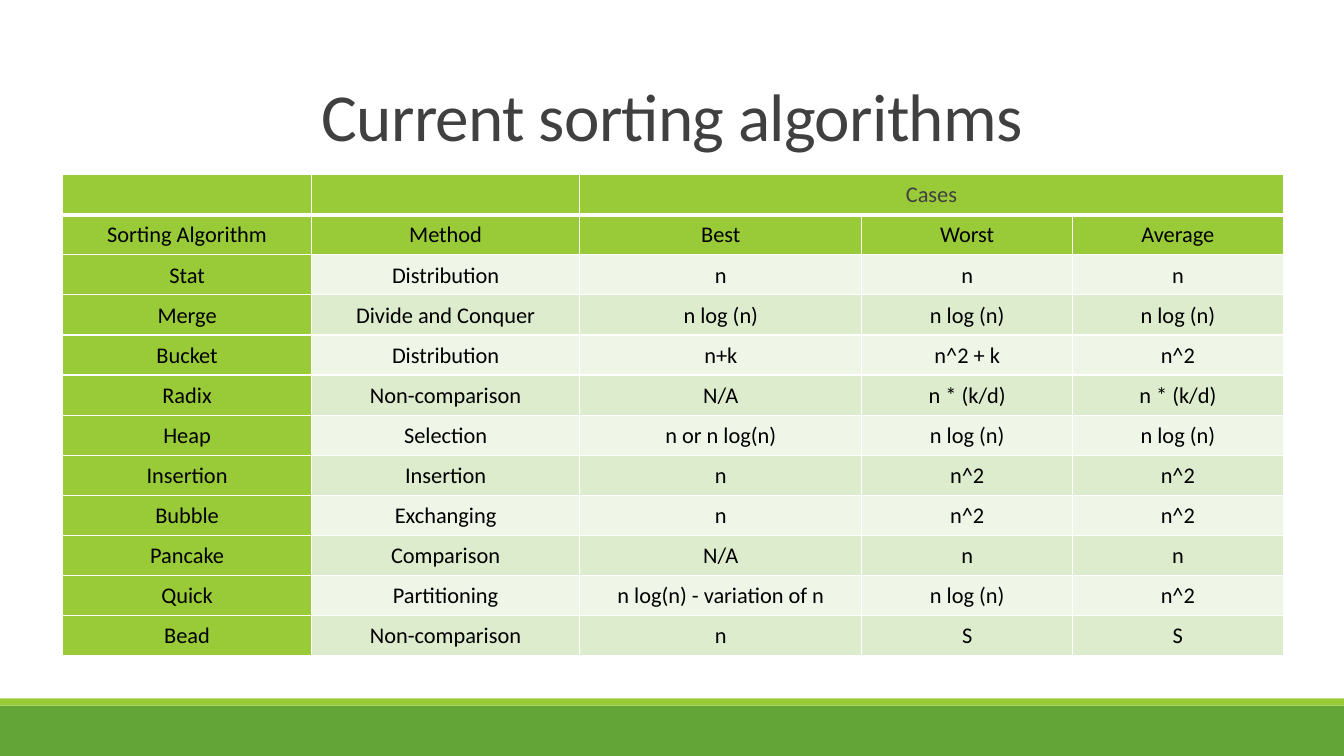
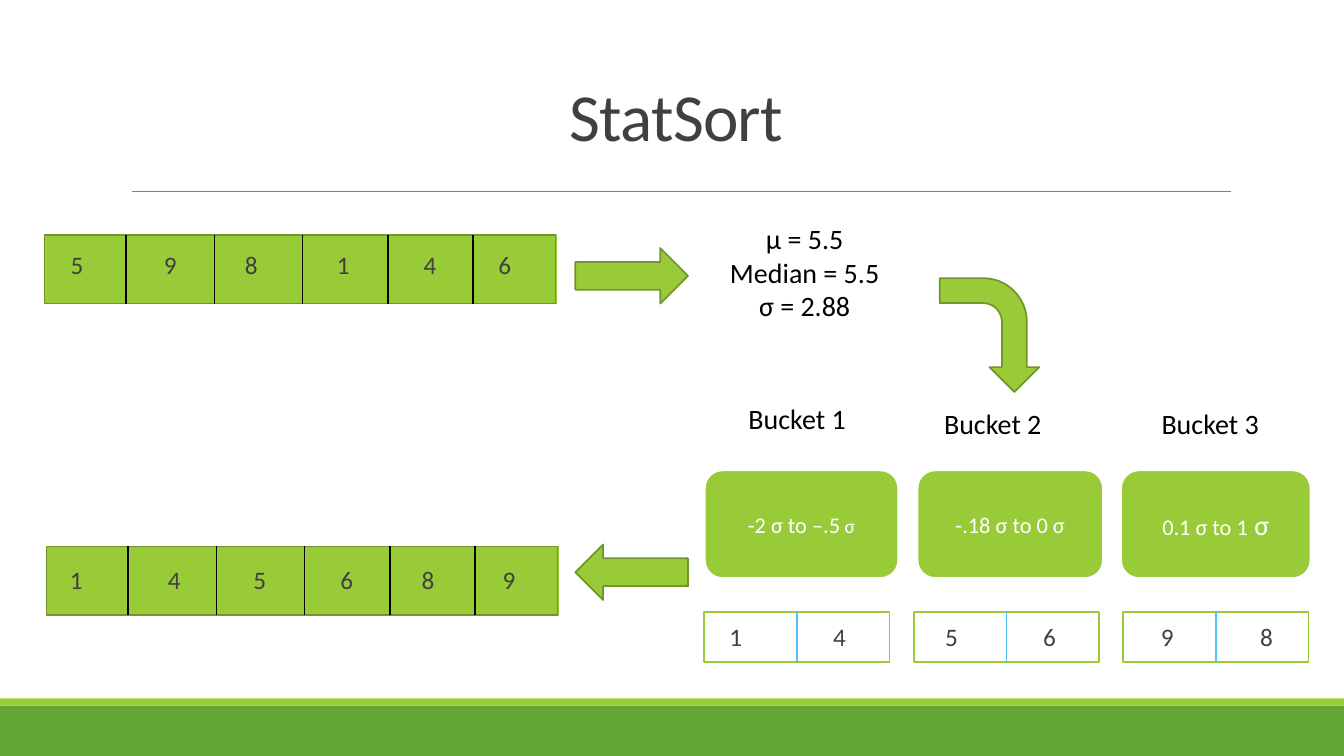
from lxml.etree import SubElement
from pptx import Presentation
from pptx.dml.color import RGBColor
from pptx.enum.shapes import MSO_CONNECTOR as Connector, MSO_SHAPE as Preset
from pptx.enum.text import MSO_ANCHOR as Anchor, MSO_AUTO_SIZE as AutoSize, PP_ALIGN as Align
from pptx.oxml.ns import qn
from pptx.util import Cm, Pt

FONT = "Calibri"
COLORS = {
    "white": "FFFFFF", "black": "000000", "text": "404040", "rule": "808080",
    "lime": "99CB38", "lime_edge": "719629", "green": "63A537", "sky": "51C3F9",
    "light": "EFF6E8", "tint": "DEECCE",
}
WIDTH, HEIGHT = 33.87, 19.05


def rgb(name):
    return RGBColor.from_string(COLORS[name])


class Slides:
    """Holds the shared style and the slide being built; lengths are in cm."""

    def __init__(self):
        self.deck = Presentation()
        self.deck.slide_width, self.deck.slide_height = Cm(WIDTH), Cm(HEIGHT)
        self.page = None

    def add_page(self, title, title_left, ruled=False):
        self.page = self.deck.slides.add_slide(self.deck.slide_layouts[5])
        # Bands at the foot, and the rule below the title
        self.shape(Preset.RECTANGLE, 0, 17.78, WIDTH, 1.27, "green")
        self.shape(Preset.RECTANGLE, 0, 17.6, WIDTH, 0.18, "lime")
        if ruled:
            self.line(3.33, 4.83, 31.01, 4.83, "rule", 0.5)
        # Title
        box = self.page.shapes.title
        box.left, box.top, box.width, box.height = Cm(title_left), Cm(0), Cm(27.94), Cm(4.03)
        frame = box.text_frame
        frame.auto_size, frame.word_wrap = AutoSize.NONE, True
        frame.vertical_anchor = Anchor.BOTTOM
        para = frame.paragraphs[0]
        para.alignment, para.line_spacing = Align.CENTER, 0.85
        span = self.span(para, title, 48, "text")
        span._r.get_or_add_rPr().set("spc", "-50")

    def span(self, para, text, size, color):
        span = para.add_run()
        span.text = text
        span.font.name, span.font.size = FONT, Pt(size)
        span.font.color.rgb = rgb(color)
        return span

    def shape(self, preset, left, top, width, height, fill, edge=None, weight=1.25):
        shape = self.page.shapes.add_shape(preset, Cm(left), Cm(top), Cm(width), Cm(height))
        shape.shadow.inherit = False
        shape.fill.solid()
        shape.fill.fore_color.rgb = rgb(fill)
        if edge:
            shape.line.color.rgb = rgb(edge)
            shape.line.width = Pt(weight)
        else:
            shape.line.fill.background()
        return shape

    def line(self, x1, y1, x2, y2, color, weight=1):
        line = self.page.shapes.add_connector(
            Connector.STRAIGHT, Cm(x1), Cm(y1), Cm(x2), Cm(y2))
        line.line.color.rgb = rgb(color)
        line.line.width = Pt(weight)
        SubElement(line._element.spPr, qn("a:effectLst"))

    def text(self, left, top, width, height, lines, size=20, color="black"):
        box = self.page.shapes.add_textbox(Cm(left), Cm(top), Cm(width), Cm(height))
        frame = box.text_frame
        frame.word_wrap = True
        for index, line in enumerate(lines):
            para = frame.add_paragraph() if index else frame.paragraphs[0]
            para.alignment = Align.CENTER
            self.span(para, line, size, color)

    def values(self, left, top, width, numbers, centers):
        """One line of numbers, each centred on its own tab stop."""
        box = self.page.shapes.add_textbox(Cm(left), Cm(top), Cm(width), Cm(1.02))
        frame = box.text_frame
        frame.word_wrap = True
        frame.margin_left = frame.margin_right = 0
        para = frame.paragraphs[0]
        para.alignment = Align.LEFT
        stops = SubElement(para._p.get_or_add_pPr(), qn("a:tabLst"))
        for number, center in zip(numbers, centers):
            SubElement(stops, qn("a:tab"), pos=str(Cm(center)), algn="ctr")
            self.span(para, f"\t{number}", 18, "text")

    def array(self, left, top, text_top, numbers, centers):
        """A strip of six cells that is open on the right."""
        self.shape(Preset.RECTANGLE, left, top, 12.9, 1.73, "lime", "lime_edge")
        for offset in (2.06, 4.29, 6.5, 8.66, 10.8, 12.9):
            color = "lime" if offset == 12.9 else "black"
            self.line(left + offset, top, left + offset, top + 1.73, color)
        self.values(left, text_top, 12.9, numbers, centers)

    def bucket(self, left, width, spans):
        box = self.shape(Preset.ROUNDED_RECTANGLE, left, 11.84, width, 2.74, "lime", "white", 2)
        frame = box.text_frame
        frame.word_wrap, frame.vertical_anchor = True, Anchor.MIDDLE
        para = frame.paragraphs[0]
        para.alignment = Align.CENTER
        for text, size in spans:
            self.span(para, text, size, "white")

    def pair(self, left, numbers, centers):
        top, width, height = 15.42, 4.67, 1.27
        self.shape(Preset.RECTANGLE, left, top, width, height, "white", "lime")
        middle = left + width / 2
        self.line(middle, top, middle, top + height, "sky")
        self.values(left, 15.53, width, numbers, centers)

    def cell(self, cell, text, fill, color, top=1, bottom=1):
        cell.margin_left = cell.margin_right = cell.margin_top = Cm(0.03)
        cell.margin_bottom = 0
        cell.vertical_anchor = Anchor.MIDDLE
        props = cell._tc.get_or_add_tcPr()
        for side, weight in (("L", 1), ("R", 1), ("T", top), ("B", bottom)):
            border = SubElement(props, qn(f"a:ln{side}"), w=str(Pt(weight)))
            solid = SubElement(border, qn("a:solidFill"))
            SubElement(solid, qn("a:srgbClr"), val=COLORS["white"])
        cell.fill.solid()
        cell.fill.fore_color.rgb = rgb(fill)
        para = cell.text_frame.paragraphs[0]
        para.alignment = Align.CENTER
        if text:
            self.span(para, text, 16, color)

    def table(self, left, top, widths, row_height, rows):
        table = self.page.shapes.add_table(
            len(rows), len(widths), Cm(left), Cm(top),
            Cm(sum(widths)), Cm(row_height * len(rows))).table
        table.first_row = table.horz_banding = False
        for column, width in zip(table.columns, widths):
            column.width = Cm(width)
        for r, row in enumerate(rows):
            table.rows[r].height = Cm(row_height)
            for c, text in enumerate(row):
                band = "tint" if r % 2 else "light"
                self.cell(table.cell(r, c), text,
                          fill="lime" if r < 2 or c == 0 else band,
                          color="black" if r else "text",
                          top=3 if r == 1 else 1, bottom=1 if r else 3)
        table.cell(0, 2).merge(table.cell(0, 4))


ALGORITHMS = [
    ("", "", "Cases", "", ""),
    ("Sorting Algorithm", "Method", "Best", "Worst", "Average"),
    ("Stat", "Distribution", "n", "n", "n"),
    ("Merge", "Divide and Conquer", "n log (n)", "n log (n)", "n log (n)"),
    ("Bucket", "Distribution", "n+k", "n^2 + k", "n^2"),
    ("Radix", "Non-comparison", "N/A", "n * (k/d)", "n * (k/d)"),
    ("Heap", "Selection", "n or n log(n)", "n log (n)", "n log (n)"),
    ("Insertion", "Insertion", "n", "n^2", "n^2"),
    ("Bubble", "Exchanging", "n", "n^2", "n^2"),
    ("Pancake", "Comparison", "N/A", "n", "n"),
    ("Quick", "Partitioning", "n log(n) - variation of n", "n log (n)", "n^2"),
    ("Bead", "Non-comparison", "n", "S", "S"),
]


def main():
    slides = Slides()

    # Comparison table
    slides.add_page("Current sorting algorithms", 2.97)
    slides.table(1.58, 4.4, (6.27, 6.76, 7.11, 5.31, 5.31), 1.01, ALGORITHMS)

    # StatSort: unsorted array and its statistics
    slides.add_page("StatSort", 3.07, ruled=True)
    slides.array(1.12, 5.92, 6.15, (5, 9, 8, 1, 4, 6), (0.82, 3.17, 5.21, 7.53, 9.72, 11.6))
    slides.text(14.55, 5.46, 11.46, 2.82, ("µ = 5.5", "Median = 5.5", "σ = 2.88"))

    # Arrows between the steps
    for preset, left, top, width, height, turn in (
            (Preset.RIGHT_ARROW, 14.5, 6.25, 2.84, 1.4, 0),
            (Preset.BENT_ARROW, 23.5, 7.19, 2.87, 2.51, 90),
            (Preset.LEFT_ARROW, 14.5, 13.72, 2.84, 1.4, 0)):
        arrow = slides.shape(preset, left, top, width, height, "lime", "lime_edge")
        arrow.rotation = turn

    # Buckets: label, range and contents
    buckets = (
        (17.83, 10, 17.75, 4.9, (("-2 σ to –.5", 16), (" σ", 14)), (1, 4), (0.79, 3.41)),
        (22.76, 10.11, 23.11, 4.7, (("-.18 σ to 0 σ", 16),), (5, 6), (0.95, 3.42)),
        (28.24, 10.11, 28.24, 4.8, (("0.1 σ to 1", 16), (" σ", 20)), (9, 8), (1.11, 3.61)),
    )
    for index, (label_left, label_top, left, width, spans, numbers, centers) in enumerate(buckets):
        slides.text(label_left, label_top, 4.52, 1.12, (f"Bucket {index + 1}",))
        slides.bucket(left, width, spans)
        slides.pair(17.75 + 5.28 * index, numbers, centers)

    # Sorted array
    slides.array(1.17, 13.77, 14.1, (1, 4, 5, 6, 8, 9), (0.75, 3.22, 5.38, 7.57, 9.62, 11.66))

    slides.deck.save("out.pptx")


if __name__ == "__main__":
    main()
